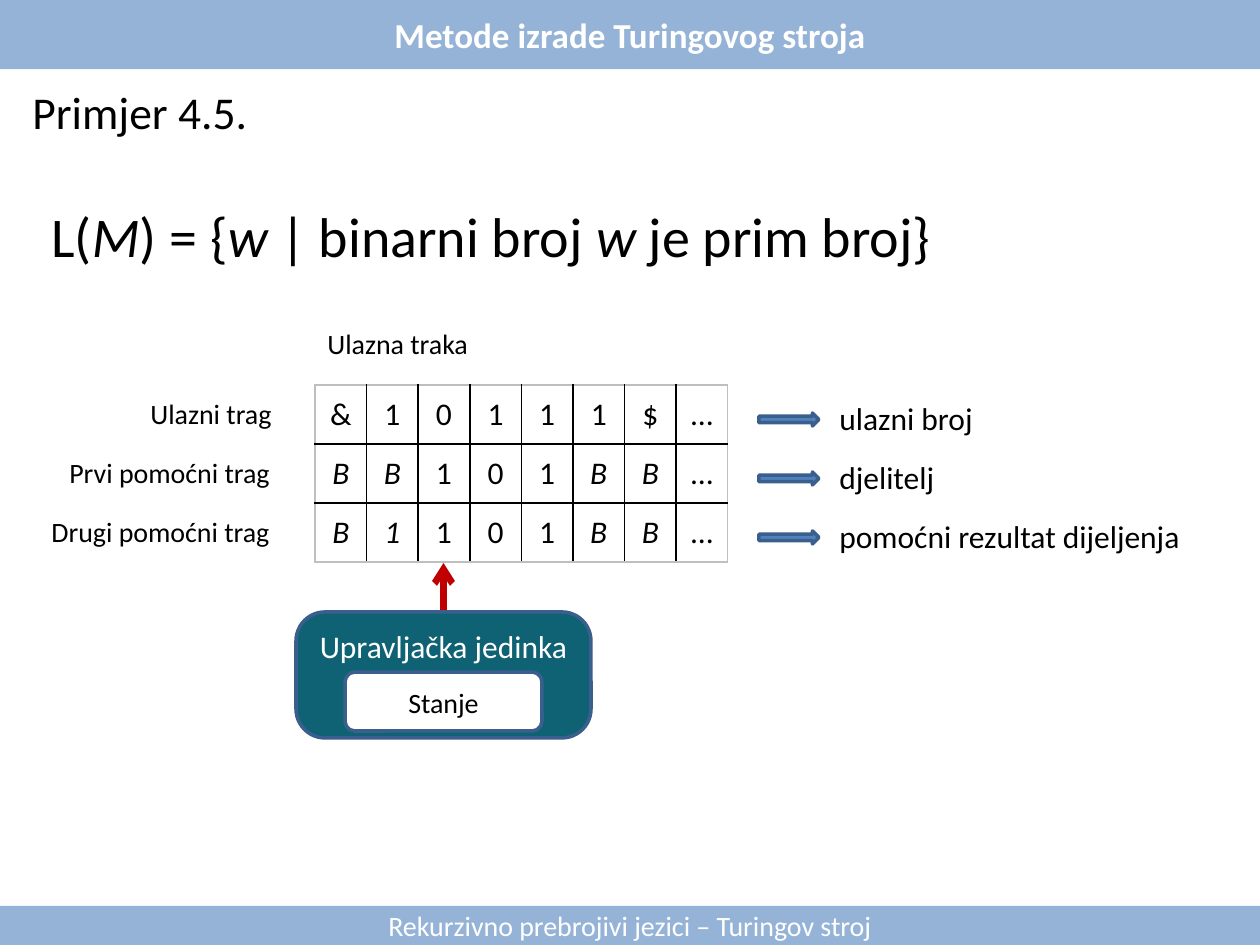
from lxml.etree import SubElement
from pptx import Presentation
from pptx.dml.color import RGBColor
from pptx.enum.shapes import MSO_CONNECTOR, MSO_SHAPE
from pptx.enum.text import MSO_ANCHOR, MSO_AUTO_SIZE, PP_ALIGN
from pptx.oxml.ns import qn
from pptx.util import Emu, Pt

SCALE = 914400 / 126
FONT = "Calibri"
BLACK, WHITE, BAND = "000000", "FFFFFF", "95B3D7"
OUTLINE, TEAL, BLUE, RED, GREY = "3A5F8C", "0F6274", "4F81BD", "C00000", "BFBFBF"
ROW_HEIGHT = 59
TRACKS = ["&10111$…", "BB101BB…", "B1101BB…"]
ITALIC_COLUMNS = [(), (0, 1, 5, 6), (0, 1, 5, 6)]


def px(length):
    return Emu(round(length * SCALE))


def color(value):
    return RGBColor.from_string(value)


def add_span(para, text, size, fill=BLACK, bold=False, italic=False):
    span = para.add_run()
    span.text = text
    font = span.font
    font.name, font.size, font.bold, font.italic = FONT, Pt(size), bold, italic
    font.color.rgb = color(fill)


def add_shape(shapes, kind, box, fill, line=None):
    shape = shapes.add_shape(kind, *map(px, box))
    shape.shadow.inherit = False
    shape.fill.solid()
    shape.fill.fore_color.rgb = color(fill)
    if line:
        shape.line.color.rgb = color(line)
        shape.line.width = Pt(2)
    else:
        shape.line.fill.background()
    return shape


def add_label(shapes, box, spans, size, wrap=False, align=PP_ALIGN.LEFT):
    frame = shapes.add_textbox(*map(px, box)).text_frame
    frame.word_wrap = wrap
    frame.auto_size = MSO_AUTO_SIZE.SHAPE_TO_FIT_TEXT
    para = frame.paragraphs[0]
    para.alignment = align
    for text, italic in spans:
        add_span(para, text, size, italic=italic)


def add_band(page, box, text, size, bold):
    band = add_shape(page.shapes, MSO_SHAPE.ROUND_2_SAME_RECTANGLE, box, BAND)
    band.adjustments[0] = 0
    band.text_frame.vertical_anchor = MSO_ANCHOR.MIDDLE
    para = band.text_frame.paragraphs[0]
    para.alignment = PP_ALIGN.CENTER
    add_span(para, text, size, WHITE, bold)


def add_control_unit(page, left, top, width, height):
    shapes = page.shapes.add_group_shape().shapes
    middle = left + width / 2
    head = shapes.add_connector(
        MSO_CONNECTOR.STRAIGHT, px(middle), px(top + 29), px(middle), px(top - 49))
    head.line.color.rgb = color(RED)
    head.line.width = Pt(3.75)
    SubElement(head.line._get_or_add_ln(), qn("a:tailEnd"), type="arrow")
    SubElement(head._element.spPr, qn("a:effectLst"))

    unit = add_shape(shapes, MSO_SHAPE.ROUNDED_RECTANGLE,
                     (left, top, width, height), TEAL, OUTLINE)
    unit.adjustments[0] = 0.23
    unit.text_frame.vertical_anchor = MSO_ANCHOR.TOP
    para = unit.text_frame.paragraphs[0]
    para.alignment = PP_ALIGN.CENTER
    add_span(para, "Upravljačka jedinka", 18, WHITE)

    add_shape(shapes, MSO_SHAPE.ROUNDED_RECTANGLE,
              (left + 49, top + 60, width - 98, 59), WHITE, OUTLINE)
    add_label(shapes, (left + 44, top + 67, width - 88, 47),
              [("Stanje", False)], 16, True, PP_ALIGN.CENTER)


def set_borders(cell, outer_sides):
    properties = cell._tc.get_or_add_tcPr()
    for side in "LRTB":
        line = SubElement(properties, qn(f"a:ln{side}"), w=str(Pt(1)))
        fill = SubElement(line, qn("a:solidFill"))
        SubElement(fill, qn("a:srgbClr"), val=GREY if side in outer_sides else BLACK)


def add_tape(page, left, top, width):
    row_count, column_count = len(TRACKS), len(TRACKS[0])
    table = page.shapes.add_table(
        row_count, column_count, px(left), px(top),
        px(width), px(row_count * ROW_HEIGHT)).table
    table.first_row = table.horz_banding = False
    for column in table.columns:
        column.width = px(width / column_count)
    for row, track in enumerate(TRACKS):
        table.rows[row].height = px(ROW_HEIGHT)
        for column, symbol in enumerate(track):
            cell = table.cell(row, column)
            edges = {"L": column == 0, "R": column == column_count - 1,
                     "T": row == 0, "B": row == row_count - 1}
            set_borders(cell, [side for side, outer in edges.items() if outer])
            cell.fill.background()
            cell.vertical_anchor = MSO_ANCHOR.MIDDLE
            para = cell.text_frame.paragraphs[0]
            para.alignment = PP_ALIGN.CENTER
            add_span(para, symbol.replace("…", "..."), 18,
                     italic=column in ITALIC_COLUMNS[row])


def add_track_names(page, right, top):
    names = [("Ulazni trag", 147), ("Prvi pomoćni trag", 228), ("Drugi pomoćni trag", 246)]
    for row, (name, width) in enumerate(names):
        add_label(page.shapes, (right - width, top + row * ROW_HEIGHT, width, 47),
                  [(name, False)], 16)


def add_track_meanings(page, left, top):
    meanings = [("ulazni broj", 164), ("djelitelj", 121), ("pomoćni rezultat dijeljenja", 368)]
    for row, (meaning, width) in enumerate(meanings):
        row_top = top + row * ROW_HEIGHT
        add_label(page.shapes, (left + 68, row_top, width, 50), [(meaning, False)], 18)
        add_shape(page.shapes, MSO_SHAPE.RIGHT_ARROW,
                  (left, row_top + 20, 60, 13), BLUE, OUTLINE)


def main():
    deck = Presentation()
    deck.slide_width, deck.slide_height = px(1260), px(945)
    page = deck.slides.add_slide(deck.slide_layouts[6])
    add_band(page, (0, 0, 1260, 69), "Metode izrade Turingovog stroja", 20, True)
    add_band(page, (0, 906, 1260, 39),
             "Rekurzivno prebrojivi jezici – Turingov stroj", 16, False)
    add_control_unit(page, 296, 612, 295, 126)
    add_tape(page, 315, 385, 413)
    add_track_names(page, 285, 390)
    add_label(page.shapes, (315, 320, 168, 47), [("Ulazna traka", False)], 16)
    add_label(page.shapes, (20, 78, 243, 68), [("Primjer 4.5.", False)], 26)
    language = [("L(", False), ("M", True), (") = {", False), ("w", True),
                (" | binarni broj ", False), ("w", True), (" je prim broj}", False)]
    add_label(page.shapes, (39, 195, 1152, 81), language, 32, True)
    add_track_meanings(page, 759, 393)
    deck.save("out.pptx")


if __name__ == "__main__":
    main()
